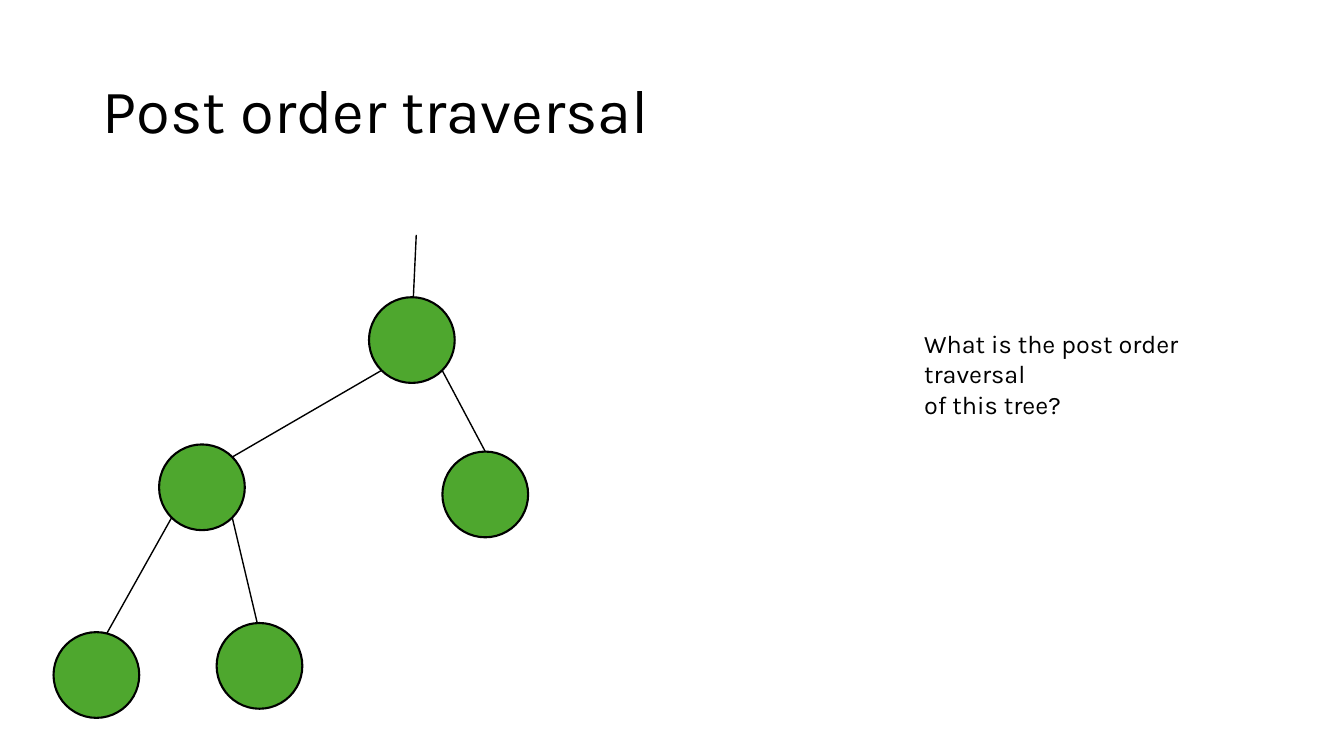
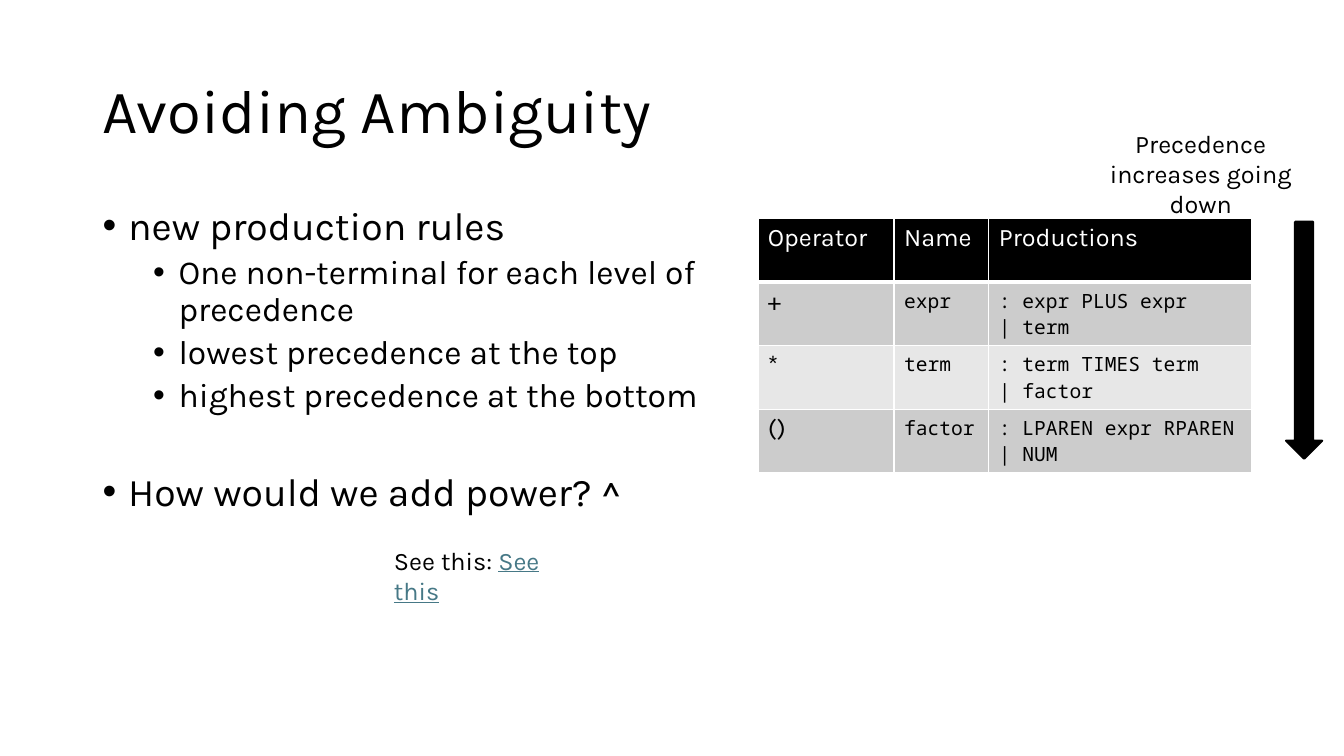
from math import cos, radians, sin

from lxml.etree import SubElement
from pptx import Presentation
from pptx.dml.color import RGBColor
from pptx.enum.shapes import MSO_CONNECTOR, MSO_SHAPE
from pptx.enum.text import MSO_ANCHOR, PP_ALIGN
from pptx.oxml.ns import qn
from pptx.util import Cm, Pt

SANS, MONO = "Karla", "Noto Sans Mono"
BLACK, WHITE, GREEN, LINK = "000000", "FFFFFF", "4EA72E", "467886"
HEADER_FILL, BANDS = BLACK, ("CCCCCC", "E7E7E7")

TITLE_BOX = (2.34, 1.02, 29.21, 3.68)

TREE_TITLE = "Post order traversal"
QUESTION = "What is the post order traversal\nof this tree?"
QUESTION_BOX = (23.04, 8.15, 8.74, 1.8)
NODE_SIZE = 2.16
NODES = {
    "root": (9.3, 7.49),
    "left": (4.01, 11.2),
    "right": (11.15, 11.38),
    "left leaf": (1.35, 15.93),
    "right leaf": (5.46, 15.7),
}
STEM_TOP, STEM_ANGLE = (10.49, 5.92), 88
EDGES = [
    ("root", 225, "left", 45),
    ("root", 315, "right", 90),
    ("left", 225, "left leaf", 76),
    ("left", 315, "right leaf", 93),
]

GRAMMAR_TITLE = "Avoiding Ambiguity"
RULES_BOX = (2.34, 5.08, 16.23, 12.95)
RULES = [
    (0, "new production rules", 0),
    (1, "One non-terminal for each level of precedence", 5),
    (1, "lowest precedence at the top", 5),
    (1, "highest precedence at the bottom", 5),
    (0, "How would we add power? ^", 41),
]
RULE_LEVELS = [(28, 0.64), (24, 1.91)]
HANGING = 0.64
PRECEDENCE = "Precedence\nincreases going down"
PRECEDENCE_BOX = (27.2, 3.1, 6.12, 1.8)
ARROW_BOX = (32.41, 5.59, 0.91, 5.97)
REFERENCE = ("See this: ", "See this")
REFERENCE_BOX = (9.68, 13.61, 5.4, 1.02)
GRAMMAR = [
    ("Operator", "Name", "Productions"),
    ("+", "expr", ": expr PLUS expr\n| term"),
    ("*", "term", ": term TIMES term\n| factor"),
    ("()", "factor", ": LPAREN expr RPAREN\n| NUM"),
]
GRAMMAR_CORNER = (19.1, 5.51)
GRAMMAR_WIDTHS, ROW_HEIGHT = (3.43, 2.39, 6.63), 1.6


def rgb(code):
    return RGBColor.from_string(code)


def cms(lengths):
    return [Cm(length) for length in lengths]


def style(font, size, color=BLACK, name=SANS):
    font.name, font.size, font.bold = name, Pt(size), False
    font.color.rgb = rgb(color)


def style_runs(frame, size, color=BLACK, name=SANS):
    for paragraph in frame.paragraphs:
        for run in paragraph.runs:
            style(run.font, size, color, name)


def add_text(slide, box, text, size=18, align=PP_ALIGN.LEFT):
    frame = slide.shapes.add_textbox(*cms(box)).text_frame
    frame.word_wrap = True
    frame.text = text
    style_runs(frame, size)
    for paragraph in frame.paragraphs:
        paragraph.alignment = align
    return frame


def add_titled_slide(deck, title):
    slide = deck.slides.add_slide(deck.slide_layouts[6])
    frame = add_text(slide, TITLE_BOX, title, 44)
    frame.vertical_anchor = MSO_ANCHOR.MIDDLE
    frame.paragraphs[0].line_spacing = 0.9
    return slide


def add_outlined(slide, kind, box, fill):
    shape = slide.shapes.add_shape(kind, *cms(box))
    shape.shadow.inherit = False
    shape.fill.solid()
    shape.fill.fore_color.rgb = rgb(fill)
    shape.line.color.rgb = rgb(BLACK)
    shape.line.width = Pt(1.5)


def add_edge(slide, start, end):
    edge = slide.shapes.add_connector(MSO_CONNECTOR.STRAIGHT, *cms(start + end))
    edge.line.color.rgb = rgb(BLACK)
    edge.line.width = Pt(1)
    SubElement(edge._element.spPr, qn("a:effectLst"))


def rim(node, angle):
    left, top = NODES[node]
    radius = NODE_SIZE / 2
    turn = radians(angle)
    return (left + radius * (1 + cos(turn)), top + radius * (1 - sin(turn)))


def add_rules(slide):
    frame = add_text(slide, RULES_BOX, "\n".join(text for _, text, _ in RULES))
    for paragraph, (level, _, gap) in zip(frame.paragraphs, RULES):
        size, indent = RULE_LEVELS[level]
        paragraph.level = level
        properties = paragraph._p.get_or_add_pPr()
        properties.set("marL", str(Cm(indent)))
        properties.set("indent", str(-Cm(HANGING)))
        SubElement(properties, qn("a:buFont"), typeface="Arial")
        SubElement(properties, qn("a:buChar"), char="•")
        paragraph.line_spacing = 0.9
        paragraph.space_before = Pt(gap)
        style(paragraph.runs[0].font, size)


def add_borders(cell, bottom):
    properties = cell._tc.get_or_add_tcPr()
    sides = (("lnL", 1), ("lnR", 1), ("lnT", 1), ("lnB", bottom))
    for place, (side, width) in enumerate(sides):
        border = properties.makeelement(qn("a:" + side), {"w": str(Pt(width))})
        fill = SubElement(border, qn("a:solidFill"))
        SubElement(fill, qn("a:srgbClr"), val=WHITE)
        properties.insert(place, border)


def add_grammar(slide):
    size = (sum(GRAMMAR_WIDTHS), ROW_HEIGHT * len(GRAMMAR))
    table = slide.shapes.add_table(
        len(GRAMMAR), len(GRAMMAR_WIDTHS), *cms(GRAMMAR_CORNER + size)
    ).table
    table.first_row = table.horz_banding = False
    for column, width in zip(table.columns, GRAMMAR_WIDTHS):
        column.width = Cm(width)
    for row, texts in enumerate(GRAMMAR):
        table.rows[row].height = Cm(ROW_HEIGHT)
        header = row == 0
        for column, text in enumerate(texts):
            cell = table.cell(row, column)
            cell.text_frame.text = text
            cell.fill.solid()
            cell.fill.fore_color.rgb = rgb(HEADER_FILL if header else BANDS[(row - 1) % 2])
            code = not header and column > 0
            style_runs(
                cell.text_frame,
                14 if code else 18,
                WHITE if header else BLACK,
                MONO if code else SANS,
            )
            add_borders(cell, 3 if header else 1)


def build_tree(deck):
    slide = add_titled_slide(deck, TREE_TITLE)
    for corner in NODES.values():
        add_outlined(slide, MSO_SHAPE.OVAL, corner + (NODE_SIZE, NODE_SIZE), GREEN)
    add_edge(slide, STEM_TOP, rim("root", STEM_ANGLE))
    for parent, leaving, child, arriving in EDGES:
        add_edge(slide, rim(parent, leaving), rim(child, arriving))
    add_text(slide, QUESTION_BOX, QUESTION)


def build_grammar(deck):
    slide = add_titled_slide(deck, GRAMMAR_TITLE)
    add_grammar(slide)
    add_outlined(slide, MSO_SHAPE.DOWN_ARROW, ARROW_BOX, BLACK)
    add_text(slide, PRECEDENCE_BOX, PRECEDENCE, align=PP_ALIGN.CENTER)
    add_rules(slide)
    lead, target = REFERENCE
    reference = add_text(slide, REFERENCE_BOX, lead).paragraphs[0].add_run()
    reference.text = target
    style(reference.font, 18, LINK)
    reference.font.underline = True


def main():
    deck = Presentation()
    deck.slide_width, deck.slide_height = cms((33.87, 19.05))
    build_tree(deck)
    build_grammar(deck)
    deck.save("out.pptx")


if __name__ == "__main__":
    main()
